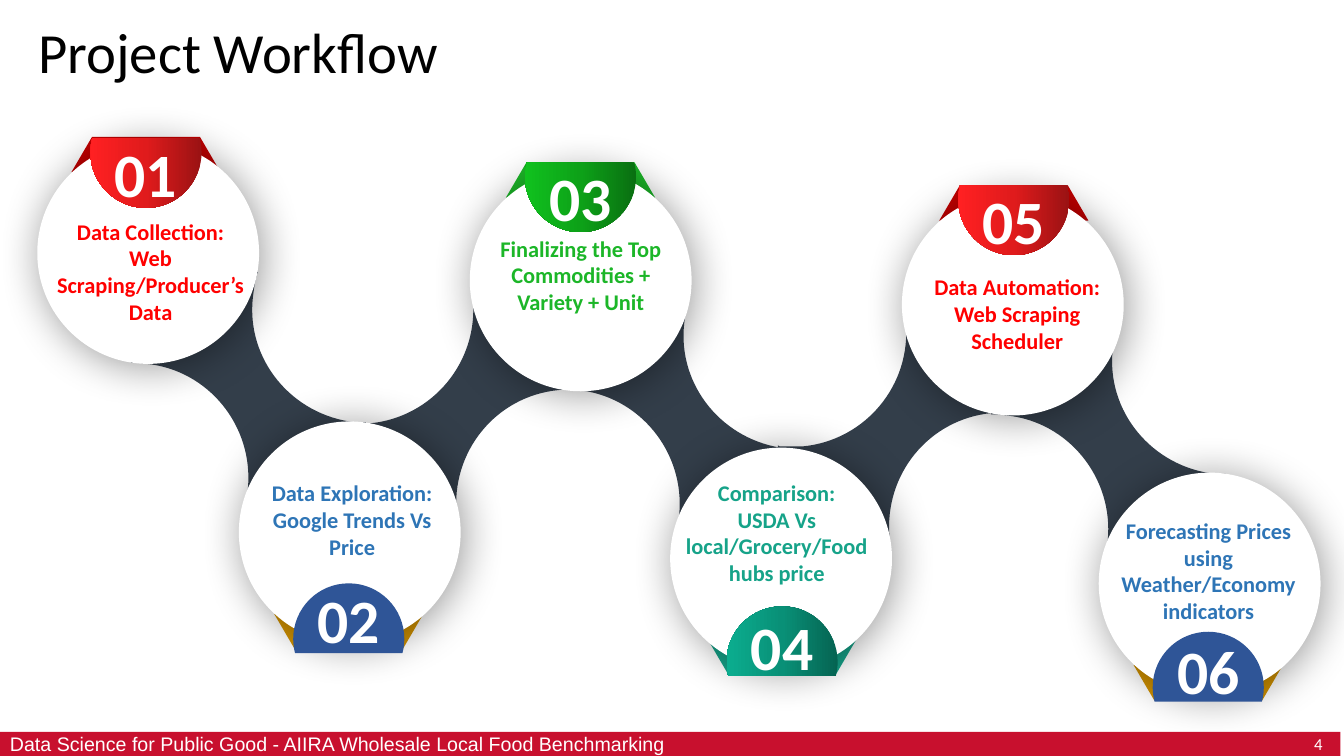
from math import asin, cos, pi, sin, tan

from pptx import Presentation
from pptx.dml.color import RGBColor
from pptx.enum.shapes import MSO_SHAPE as Shape
from pptx.enum.text import MSO_ANCHOR as Anchor, PP_ALIGN as Align
from pptx.oxml import parse_xml
from pptx.oxml.ns import nsdecls, qn
from pptx.util import Cm, Pt

WHITE = RGBColor(0xFF, 0xFF, 0xFF)
BLACK = RGBColor(0, 0, 0)
SLATE = RGBColor(0x33, 0x3E, 0x4A)
CRIMSON = RGBColor(0xC8, 0x10, 0x2E)
RED = RGBColor(0xFF, 0, 0)
DARK_RED = RGBColor(0xC0, 0, 0)
BLUE = RGBColor(0x2E, 0x75, 0xB6)
NAVY = RGBColor(0x2F, 0x55, 0x97)
OCHRE = RGBColor(0xCF, 0x90, 0x01)
GREEN = RGBColor(0x1C, 0xB6, 0x28)
TEAL = RGBColor(0x16, 0xA3, 0x89)
RED_SHADES = [RGBColor(0x9A, 0x12, 0x13), RGBColor(0xE0, 0x1B, 0x1C), RGBColor(0xFF, 0x20, 0x22)]
GREEN_SHADES = [RGBColor(0x09, 0x6F, 0x11), RGBColor(0x0D, 0xA1, 0x18), RGBColor(0x10, 0xC1, 0x1E)]
TEAL_SHADES = [RGBColor(0x05, 0x64, 0x52), RGBColor(0x09, 0x90, 0x77), RGBColor(0x0B, 0xAD, 0x8F)]

CIRCLE = 5.59        # diameter of a step circle, cm
TAB_R, TAB_RISE = 1.4, 0.36   # tab radius; flat edge to tab centre
GRID = 0.0254        # cm per unit of the link outlines

# Link outlines: one point is a line end, three points are a curve
FALLING = [
    [(128, 1)], [(127, 3)], [(125, 10), (124, 18), (123, 26)],
    [(116, 88), (162, 143), (224, 150)], [(235, 150)], [(234, 155)],
    [(219, 206), (172, 241), (119, 241)], [(112, 240)], [(113, 238)],
    [(115, 231), (117, 224), (118, 216)], [(124, 154), (79, 98), (17, 92)],
    [(13, 91), (9, 91), (5, 91)], [(2, 91)], [(4, 84)], [(20, 34), (67, 0), (120, 0)]]
RISING = [
    [(0, 134)], [(2, 135)], [(10, 135), (17, 135), (25, 135)],
    [(87, 129), (133, 74), (127, 11)], [(125, 0)], [(130, 0)],
    [(183, 5), (226, 44), (237, 96)], [(238, 103)], [(235, 102)],
    [(228, 102), (220, 101), (212, 102)], [(150, 108), (105, 163), (111, 226)],
    [(111, 229), (111, 233), (112, 237)], [(113, 240)], [(106, 240)],
    [(54, 234), (11, 195), (1, 142)]]
LINKS = [(FALLING, 24.92, 8.13), (FALLING, 14.12, 7.49), (RISING, 19.6, 7.82),
         (FALLING, 3.25, 6.83), (RISING, 8.69, 7.24)]

# number, side (1 tab on top, -1 below), circle left/top, tab centre x, tab and fold edge y,
# fold colour, tab fill, text colour, text box, paragraphs, top of a separate number box
STEPS = [
    ("01", 1, 0.94, 3.58, 3.68, 3.48, 3.45, DARK_RED, RED_SHADES, RED,
     (0.86, 5.36, 5.87, 3), ["Data Collection:", "Web Scraping/Producer’s Data"], None),
    ("02", -1, 6.02, 10.62, 8.79, 16.46, 16.36, OCHRE, NAVY, BLUE,
     (6.35, 11.96, 5.05, 2.31), ["Data Exploration:", "Google Trends Vs Price"], 14.53),
    ("03", 1, 11.84, 4.27, 14.63, 4.09, 4.09, GREEN, GREEN_SHADES, GREEN,
     (12.24, 5.79, 4.8, 3), ["Finalizing the Top Commodities + Variety + Unit"], None),
    ("04", -1, 16.89, 11.28, 19.71, 17.04, 16.99, TEAL, TEAL_SHADES, TEAL,
     (16.59, 11.94, 5.97, 3), ["Comparison:", "USDA Vs local/Grocery/Food hubs price"], 15.21),
    ("05", 1, 22.73, 4.88, 25.55, 4.67, 4.67, DARK_RED, RED_SHADES, RED,
     (22.61, 6.76, 6.05, 2.31), ["Data Automation:", "Web Scraping Scheduler"], None),
    ("06", -1, 27.69, 11.91, 30.45, 17.68, 17.65, OCHRE, NAVY, BLUE,
     (27.66, 12.9, 5.59, 3), ["Forecasting Prices using Weather/Economy indicators"], 15.82),
]


def paint(sp, fill):
    """Fill with one colour, or with a list of gradient shades."""
    sp.shadow.inherit = False
    sp.line.fill.background()
    if isinstance(fill, RGBColor):
        sp.fill.solid()
        sp.fill.fore_color.rgb = fill
        return
    sp.fill.gradient()
    sp.fill.gradient_angle = 180
    stops = sp._element.spPr.find(qn("a:gradFill")).find(qn("a:gsLst"))
    for gs in list(stops):
        stops.remove(gs)
    for i, shade in enumerate(fill):
        stops.append(parse_xml(f'<a:gs {nsdecls("a")} pos="{i * 50000}">'
                               f'<a:srgbClr val="{shade}"/></a:gs>'))


def add_outline(s, segments, fill):
    """Draw lines (one point) and curves (three points) as one closed shape."""
    pts = [(Cm(x), Cm(y)) for seg in segments for x, y in seg]
    builder = s.shapes.build_freeform(*pts[0])
    builder.add_line_segments(pts[1:], close=True)
    sp = builder.convert_to_shape()
    lines = iter(list(sp._element.iter(qn("a:lnTo"))))
    for seg in segments[1:]:
        group = [next(lines) for _ in seg]
        if len(group) == 3:
            curve = parse_xml(f'<a:cubicBezTo {nsdecls("a")}/>')
            group[0].addprevious(curve)
            for line in group:
                curve.append(line[0])
                line.getparent().remove(line)
    paint(sp, fill)
    return sp


def add_preset(s, kind, left, top, width, height, fill):
    sp = s.shapes.add_shape(kind, Cm(left), Cm(top), Cm(width), Cm(height))
    paint(sp, fill)
    return sp


def write(tf, lines, size, color, bold=False, align=Align.CENTER, font="Calibri"):
    tf.word_wrap = True
    for i, line in enumerate(lines):
        p = tf.add_paragraph() if i else tf.paragraphs[0]
        p.text = line
        p.alignment = align
        p.font.name, p.font.size, p.font.bold = font, Pt(size), bold
        p.font.color.rgb = color


def add_text(s, box, lines, size, color, anchor=Anchor.TOP, **style):
    tf = s.shapes.add_textbox(*map(Cm, box)).text_frame
    tf.vertical_anchor = anchor
    write(tf, lines, size, color, **style)
    return tf


def add_link(s, outline, left, top):
    add_outline(s, [[(left + GRID * x, top + GRID * y) for x, y in seg] for seg in outline], SLATE)


def add_circle(s, left, top):
    sp = add_preset(s, Shape.OVAL, left, top, CIRCLE, CIRCLE, WHITE)
    sp._element.spPr.find(qn("a:effectLst")).append(parse_xml(
        f'<a:outerShdw {nsdecls("a")} blurRad="{Pt(31)}" dist="{Pt(3)}" dir="2700000" '
        'algn="tl" rotWithShape="0"><a:srgbClr val="000000"><a:alpha val="40000"/>'
        '</a:srgbClr></a:outerShdw>'))


def add_tab(s, cx, flat_y, side, fill):
    """A disc cut off by its flat edge."""
    def at(angle, pull=0.0):
        x = cos(angle) - pull * sin(angle)
        y = sin(angle) + pull * cos(angle)
        return cx + TAB_R * x, flat_y + side * (TAB_RISE + TAB_R * y)

    start = -asin(TAB_RISE / TAB_R)
    angles = [start, 0, pi / 2, pi, pi - start]
    segments = [[at(start)]]
    for a, b in zip(angles, angles[1:]):
        pull = 4 / 3 * tan((b - a) / 4)
        segments.append([at(a, pull), at(b, -pull), at(b)])
    return add_outline(s, segments, fill)


def add_step(s, number, side, left, top, cx, tab_y, fold_y, fold, tab, color, box, lines, num_y):
    # Fold behind the circle
    tip_y = fold_y + side * 0.89
    add_outline(s, [[(cx - 1.36, fold_y)], [(cx + 1.36, fold_y)],
                    [(cx + 1.88, tip_y)], [(cx - 1.88, tip_y)]], fold)
    add_circle(s, left, top)
    sp = add_tab(s, cx, tab_y, side, tab)
    if num_y is None:
        sp.text_frame.vertical_anchor = Anchor.MIDDLE
        write(sp.text_frame, [number], 44, WHITE, bold=True)
    else:
        add_text(s, (cx - 1.13, num_y, 2.26, 2.13), [number], 44, WHITE, bold=True)
    add_text(s, box, lines, 16, color, bold=True)


def main():
    prs = Presentation()
    prs.slide_width, prs.slide_height = Cm(33.87), Cm(19.05)
    s = prs.slides.add_slide(prs.slide_layouts[6])

    # Title
    tf = add_text(s, (0.64, 0.71, 32.28, 1.57), ["Project Workflow"], 40.5, BLACK,
                  align=Align.LEFT)
    tf.margin_left = tf.margin_right = Cm(0.33)
    tf.margin_top = tf.margin_bottom = Cm(0.18)
    tf.paragraphs[0].line_spacing = 0.7

    # Workflow
    for link in LINKS:
        add_link(s, *link)
    for step in STEPS:
        add_step(s, *step)

    # Footer
    add_preset(s, Shape.RECTANGLE, 0, 18.44, 33.78, 0.61, CRIMSON)
    add_text(s, (26.04, 18.36, 7.54, 0.79), ["4"], 12, WHITE, Anchor.MIDDLE, align=Align.RIGHT)
    add_text(s, (0, 18.44, 17.12, 0.61),
             ["Data Science for Public Good - AIIRA Wholesale Local Food Benchmarking"],
             14, WHITE, Anchor.MIDDLE, align=Align.LEFT, font="Arial")

    prs.save("out.pptx")


if __name__ == "__main__":
    main()
